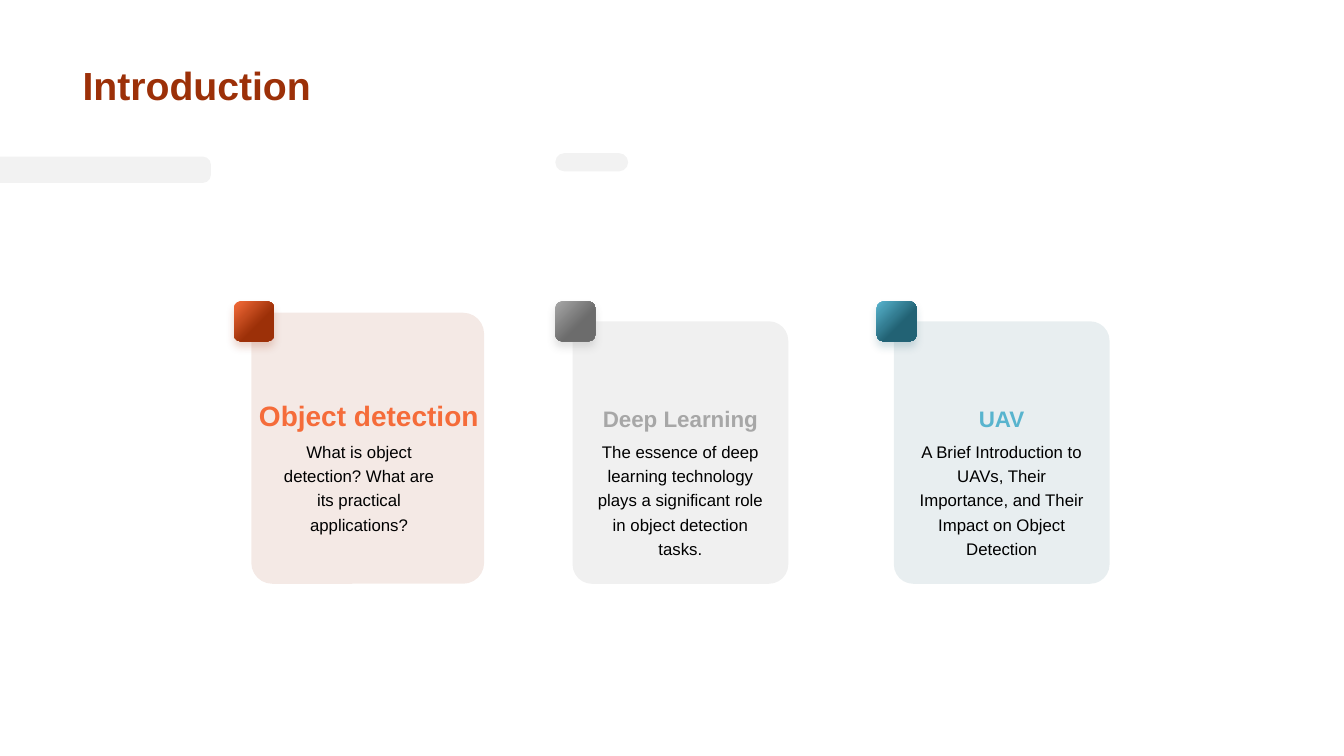
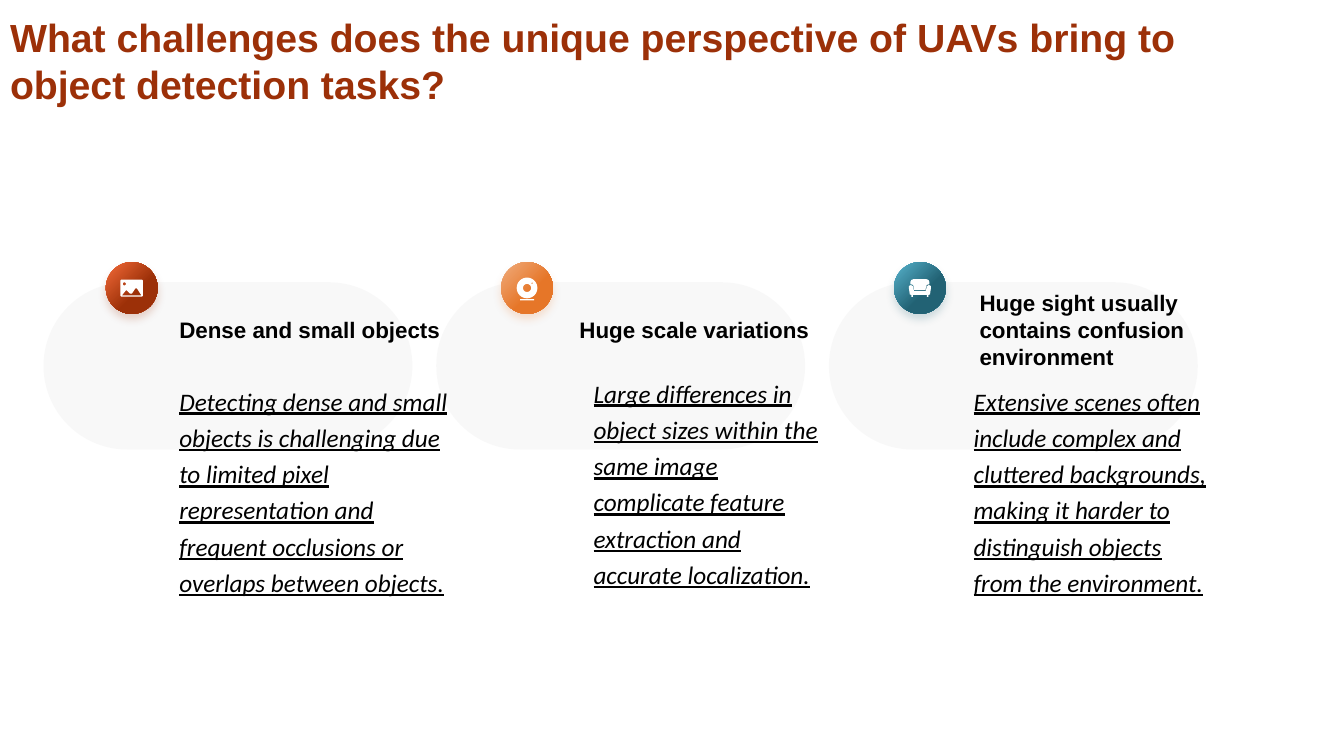
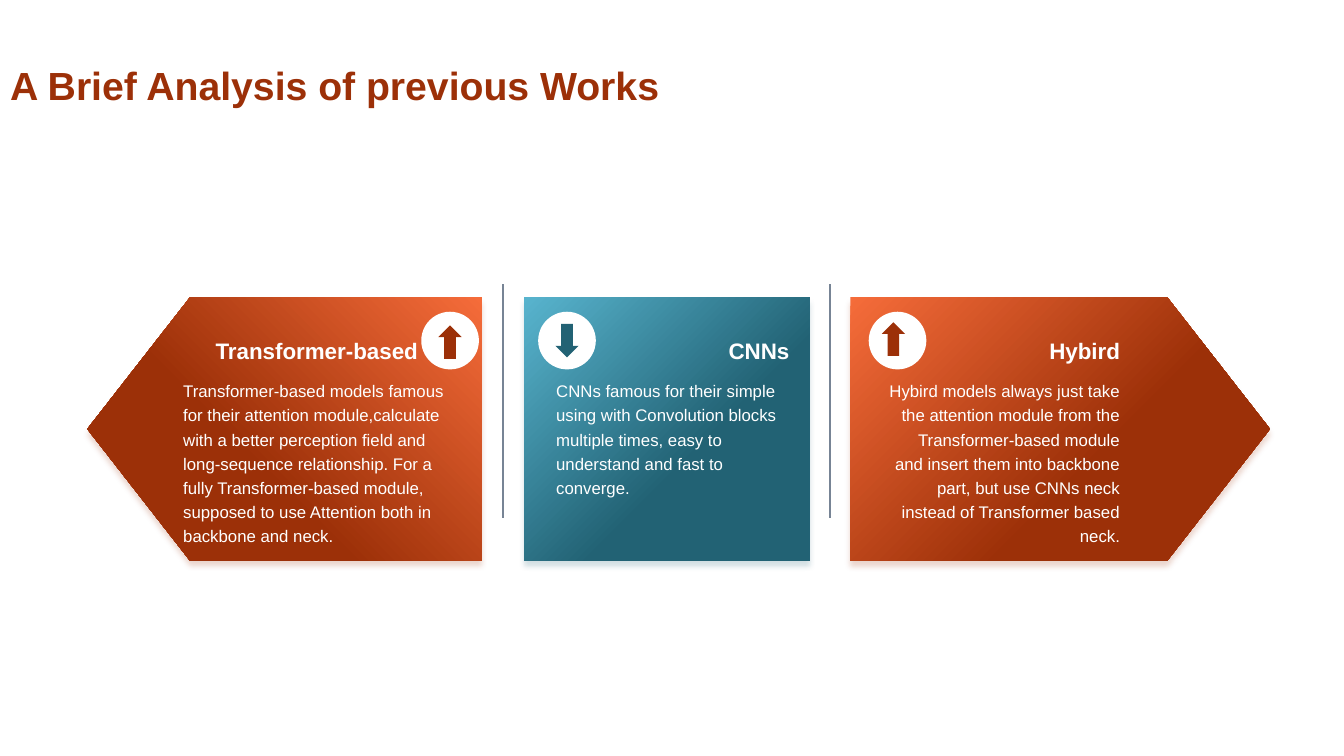
from math import cos, pi, sin

from lxml.etree import SubElement
from pptx import Presentation
from pptx.dml.color import RGBColor
from pptx.enum.shapes import MSO_CONNECTOR, MSO_SHAPE
from pptx.enum.text import MSO_ANCHOR, MSO_AUTO_SIZE, PP_ALIGN
from pptx.oxml.ns import qn
from pptx.util import Pt

WHITE = RGBColor(0xFF, 0xFF, 0xFF)
BLACK = RGBColor(0x00, 0x00, 0x00)
GREY = RGBColor(0x80, 0x80, 0x80)
SLATE = RGBColor(0x77, 0x84, 0x95)
RUST = RGBColor(0x9C, 0x30, 0x08)
TEAL = RGBColor(0x22, 0x62, 0x74)
# Light and dark end of each gradient
REDS = RGBColor(0xF5, 0x6C, 0x3A), RUST
ASHES = RGBColor(0xA7, 0xA7, 0xA7), RGBColor(0x6C, 0x6C, 0x6C)
GOLDS = RGBColor(0xF0, 0xAD, 0x7E), RGBColor(0xE6, 0x76, 0x28)
BLUES = RGBColor(0x58, 0xB4, 0xCE), TEAL

LEFT, MID, RIGHT = PP_ALIGN.LEFT, PP_ALIGN.CENTER, PP_ALIGN.RIGHT


def points(*values):
    return [Pt(value) for value in values]


def add_page(deck, text, left=0, top=0):
    """Add a slide with the shared title style."""
    slide = deck.slides.add_slide(deck.slide_layouts[5])
    title = slide.shapes.title
    title.left, title.top, title.width, title.height = points(left, top, 855.4, 81)
    frame = title.text_frame
    frame.text = text
    frame.vertical_anchor = MSO_ANCHOR.BOTTOM
    frame.auto_size = MSO_AUTO_SIZE.NONE
    style(frame.paragraphs[0], 28, RUST, bold=True)
    return slide


def style(para, size, color, align=LEFT, name="Arial", bold=False):
    para.alignment = align
    font = para.font
    font.name, font.size, font.bold = name, Pt(size), bold
    font.color.rgb = color


def add_head(slide, text, box, color, size=16, align=LEFT):
    """Add a bold line that sits on the bottom of its box."""
    frame = slide.shapes.add_textbox(*points(*box)).text_frame
    frame.text = text
    frame.word_wrap = False
    frame.vertical_anchor = MSO_ANCHOR.BOTTOM
    for para in frame.paragraphs:
        style(para, size, color, align, bold=True)


def add_body(slide, text, box, color, size=12, align=LEFT, name="Arial"):
    frame = slide.shapes.add_textbox(*points(*box)).text_frame
    frame.text = text
    frame.word_wrap = True
    para = frame.paragraphs[0]
    para.line_spacing = 1.2
    style(para, size, color, align, name)
    return frame


def add_form(slide, kind, box, color, alpha=100, bend=None):
    """Add a plain filled shape; alpha is its opacity in percent."""
    form = slide.shapes.add_shape(kind, *points(*box))
    form.shadow.inherit = False
    form.line.fill.background()
    form.fill.solid()
    form.fill.fore_color.rgb = color
    if bend is not None:
        form.adjustments[0] = bend
    if alpha < 100:
        tint = form._element.spPr.find(".//" + qn("a:srgbClr"))
        SubElement(tint, qn("a:alpha"), val=str(alpha * 1000))
    return form


def add_glow(slide, kind, box, pair, blur=6, bend=None):
    """Add a shape with a diagonal gradient and a soft shadow below."""
    form = add_form(slide, kind, box, pair[1], bend=bend)
    form.fill.gradient()
    form.fill.gradient_angle = 315
    for stop, color, place in zip(form.fill.gradient_stops, pair, (0, 0.6)):
        stop.color.rgb = color
        stop.position = place
    effects = form._element.spPr.find(qn("a:effectLst"))
    shade = SubElement(effects, qn("a:outerShdw"), blurRad=str(Pt(blur)),
                       dist=str(Pt(4)), dir="5400000", algn="t", rotWithShape="0")
    tint = SubElement(shade, qn("a:srgbClr"), val=str(pair[1]))
    SubElement(tint, qn("a:alpha"), val="20000")
    return form


def add_rule(slide, x, top, end):
    rule = slide.shapes.add_connector(MSO_CONNECTOR.STRAIGHT, *points(x, top, x, end))
    rule.line.color.rgb = SLATE
    rule.line.width = Pt(1)
    SubElement(rule._element.spPr, qn("a:effectLst"))


def add_icon(slide, x, y, loops):
    """Draw closed white outlines around a centre; inner loops are holes."""
    pen = None
    for loop in loops:
        spots = [points(x + dx, y + dy) for dx, dy in loop]
        if pen is None:
            pen = slide.shapes.build_freeform(*spots[0])
        else:
            pen.move_to(*spots[0])
        pen.add_line_segments(spots[1:], close=True)
    icon = pen.convert_to_shape()
    icon.shadow.inherit = False
    icon.fill.solid()
    icon.fill.fore_color.rgb = WHITE
    icon.line.fill.background()


def ring(x, y, r, count=32):
    turns = [2 * pi * i / count for i in range(count)]
    return [(x + r * cos(turn), y + r * sin(turn)) for turn in turns]


def mirror(half):
    return half + [(-x, y) for x, y in reversed(half)]


PHOTO = [
    mirror([(7.4, -6), (8, -5.4), (8, 5.6), (7.4, 6.2)]),
    [(3.8, 0.4), (2.6, 0.4), (0.2, 4), (-1.2, 4), (-3.4, 1.8),
     (-4.1, 1.8), (-7, 5.4), (7, 5.4)],
    ring(-5.2, -2.9, 1.1),
]
CAMERA = [ring(0, 0, 7.4), ring(0, 0, 2.9), ring(3.6, -3.4, 0.5),
          mirror([(5, 8), (5, 8.8)])]
SOFA = [
    mirror([(4.6, -6.3), (6.2, -5.6), (6.8, -4.2), (6.8, -2.7),
            (5, -2.2), (4.4, -1.2), (4, 1.6)]),
    mirror([(4.2, 2.4), (4.9, -1.2), (6.5, -2.1), (7.9, -1.3), (7.9, 0),
            (7.2, 4.7), (6, 5), (6, 6.4), (5, 6.4), (5, 5)]),
]


def show_intro(deck):
    slide = add_page(deck, "Introduction", 51.8)
    bar = add_form(slide, MSO_SHAPE.ROUND_2_SAME_RECTANGLE,
                   (66, 46, 18.7, 150.5), GREY, 10, 0.3)
    bar.rotation = 90
    add_form(slide, MSO_SHAPE.ROUNDED_RECTANGLE, (396.7, 109.4, 52, 13), GREY, 10, 0.5)
    # Name, text, colours, name size, name centre, card top, card width
    cards = [
        ("Object detection",
         "What is object detection? What are its practical applications?",
         REDS, 20, 84, 223.4, 166.3),
        ("Deep Learning",
         "The essence of deep learning technology plays a significant role "
         "in object detection tasks.", ASHES, 16, 77, 229.5, 154.1),
        ("UAV",
         "A Brief Introduction to UAVs, Their Importance, and Their Impact "
         "on Object Detection", BLUES, 16, 77, 229.5, 154.1),
    ]
    for i, (name, text, pair, size, centre, top, width) in enumerate(cards):
        x = 179.5 + 229.5 * i
        add_form(slide, MSO_SHAPE.ROUNDED_RECTANGLE, (x, top, width, 417 - top),
                 pair[1], 10, 0.09)
        add_glow(slide, MSO_SHAPE.ROUNDED_RECTANGLE, (x - 12.3, 215.3, 28.5, 28.5), pair)
        add_head(slide, name, (x + centre - 90, 280.5, 180, 31.7), pair[0], size, MID)
        frame = add_body(slide, text, (x + 9.3, 305.5, 135.4, 100), BLACK, align=MID)
        frame.margin_top = frame.margin_bottom = Pt(7.2)


def show_tasks(deck):
    slide = add_page(deck, "What challenges does the unique perspective of UAVs "
                     "bring to object detection tasks?", top=-0.5)
    # Name, name bottom, text, text box, colours, dot left, icon
    tasks = [
        ("Dense and small objects", 248.4,
         "Detecting dense and small objects is challenging due to limited pixel "
         "representation and frequent occlusions or overlaps between objects.",
         (121, 267.8, 213, 162.7), REDS, 75.6, PHOTO),
        ("Huge scale variations", 248.4,
         "Large differences in object sizes within the same image complicate "
         "feature extraction and accurate localization.",
         (416.9, 262.1, 181.4, 162.7), GOLDS, 358, CAMERA),
        ("Huge sight usually\ncontains confusion\nenvironment", 267.8,
         "Extensive scenes often include complex and cluttered backgrounds, "
         "making it harder to distinguish objects from the environment.",
         (688.3, 267.8, 181.4, 162.7), BLUES, 638.6, SOFA),
    ]
    for i, (name, base, text, box, pair, dot, icon) in enumerate(tasks):
        add_form(slide, MSO_SHAPE.ROUNDED_RECTANGLE,
                 (31.1 + 280.5 * i, 201.6, 263.5, 119.5), GREY, 5, 0.5)
        add_glow(slide, MSO_SHAPE.OVAL, (dot, 187.2, 37, 37), pair)
        add_icon(slide, dot + 18.5, 205.7, icon)
        add_head(slide, name, (121 + 285.8 * i, base - 64, 215, 64), BLACK)
        frame = add_body(slide, text, box, BLACK, 18, name="Calibri")
        font = frame.paragraphs[0].font
        font.italic = font.underline = True


def show_works(deck):
    slide = add_page(deck, "A Brief Analysis of previous Works")
    for x in (359.2, 593):
        add_rule(slide, x, 203.2, 370)
    up, down = MSO_SHAPE.UP_ARROW, MSO_SHAPE.DOWN_ARROW
    plate = MSO_SHAPE.PENTAGON
    # Name, left, width, side; text, left, width, side; shape, left, width,
    # colours; badge left; arrow, left, top
    works = [
        ("Transformer-based", 146.9, 170, LEFT,
         "Transformer-based models famous for their attention module,calculate "
         "with a better perception field and long-sequence relationship. For a "
         "fully Transformer-based module, supposed to use Attention both in "
         "backbone and neck.", 123.8, 203.8, LEFT,
         plate, 62.4, 281.8, REDS, 300.9, up, 313.2, 232.4),
        ("CNNs", 478.8, 92.2, RIGHT,
         "CNNs famous for their simple using with Convolution blocks multiple "
         "times, easy to understand and fast to converge.", 390.2, 180.7, LEFT,
         MSO_SHAPE.RECTANGLE, 374.4, 204, BLUES, 384.4, down, 396.7, 231.3),
        ("Hybird", 714.9, 92.2, RIGHT,
         "Hybird models always just take the attention module from the "
         "Transformer-based module and insert them into backbone part, but use "
         "CNNs neck instead of Transformer based neck.", 626.4, 180.7, RIGHT,
         plate, 607.4, 299.7, REDS, 620.5, up, 629.9, 230.2),
    ]
    for (name, head, span, side, text, body, room, align, kind, x, width, pair,
         badge, arrow, tip, top) in works:
        bend = 0.39 if kind == plate else None
        block = add_glow(slide, kind, (x, 212.3, width, 188.3), pair, 4, bend)
        if kind == plate and side == LEFT:
            block._element.spPr.xfrm.set("flipH", "1")
        add_form(slide, MSO_SHAPE.OVAL, (badge, 222.7, 41.2, 41.2), WHITE)
        add_form(slide, arrow, (tip, top, 16.6, 24), pair[1])
        add_head(slide, name, (head, 236.9, span, 26.6), WHITE, align=side)
        add_body(slide, text, (body, 265.7, room, 128.2), WHITE, align=align)


def main():
    deck = Presentation()
    deck.slide_width, deck.slide_height = points(960, 540)
    show_intro(deck)
    show_tasks(deck)
    show_works(deck)
    deck.save("out.pptx")


if __name__ == "__main__":
    main()
